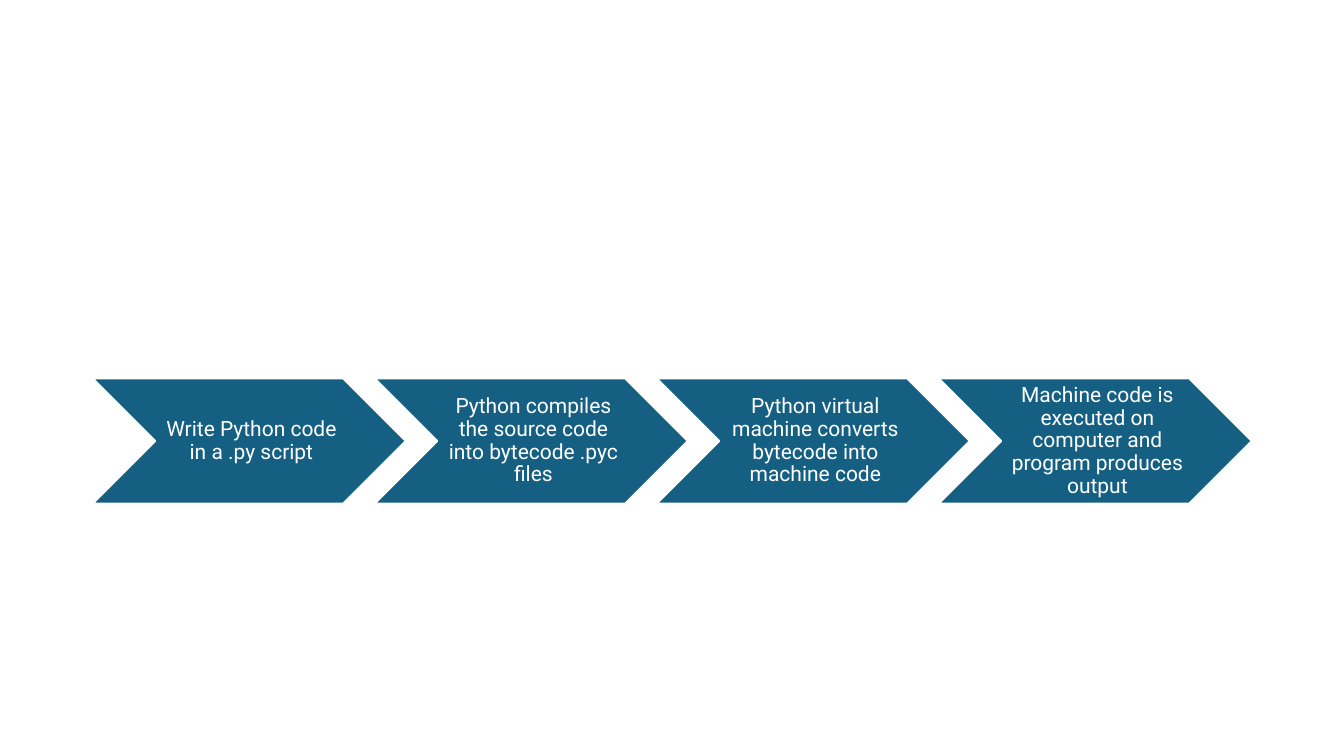
import dataclasses

import pptx
import pptx.dml.color
import pptx.enum.shapes
import pptx.enum.text
import pptx.slide
import pptx.util

Pt = pptx.util.Pt

TEAL = pptx.dml.color.RGBColor(0x15, 0x60, 0x82)
WHITE = pptx.dml.color.RGBColor(0xFF, 0xFF, 0xFF)

FONT = "Roboto"
ROW_LEFT, ROW_TOP = 66.1, 270.25
STEP_WIDTH, STEP_HEIGHT = 223.8, 89.5
STEP_PITCH = 0.9 * STEP_WIDTH  # neighbours overlap by a tenth of their width


@dataclasses.dataclass(frozen=True)
class Step:
    position: int
    text: str


STEPS = [
    Step(position, text)
    for position, text in enumerate([
        "Write Python code in a .py script",
        "Python compiles the source code into bytecode .pyc files",
        "Python virtual machine converts bytecode into machine code",
        "Machine code is executed on computer and program produces output",
    ])
]


def draw_step(page: pptx.slide.Slide, step: Step) -> None:
    chevron = page.shapes.add_shape(
        pptx.enum.shapes.MSO_SHAPE.CHEVRON,
        Pt(ROW_LEFT + step.position * STEP_PITCH),
        Pt(ROW_TOP),
        Pt(STEP_WIDTH),
        Pt(STEP_HEIGHT),
    )
    chevron.name = f"Step {step.position + 1}"
    chevron.shadow.inherit = False
    chevron.fill.solid()
    chevron.fill.fore_color.rgb = TEAL
    chevron.line.color.rgb = WHITE
    chevron.line.width = Pt(1.5)

    frame = chevron.text_frame
    frame.word_wrap = True
    frame.vertical_anchor = pptx.enum.text.MSO_ANCHOR.MIDDLE
    frame.margin_left = Pt(4.75)
    frame.margin_top = frame.margin_right = frame.margin_bottom = Pt(1.5)

    para = frame.paragraphs[0]
    para.alignment = pptx.enum.text.PP_ALIGN.CENTER
    para.line_spacing = 0.9
    span = para.add_run()
    span.text = step.text
    span.font.name = FONT
    span.font.size = Pt(15)
    span.font.color.rgb = WHITE


def main() -> None:
    deck = pptx.Presentation()
    deck.slide_width, deck.slide_height = Pt(960), Pt(540)
    page = deck.slides.add_slide(deck.slide_layouts[6])
    for step in STEPS:
        draw_step(page, step)
    deck.save("out.pptx")


if __name__ == "__main__":
    main()
